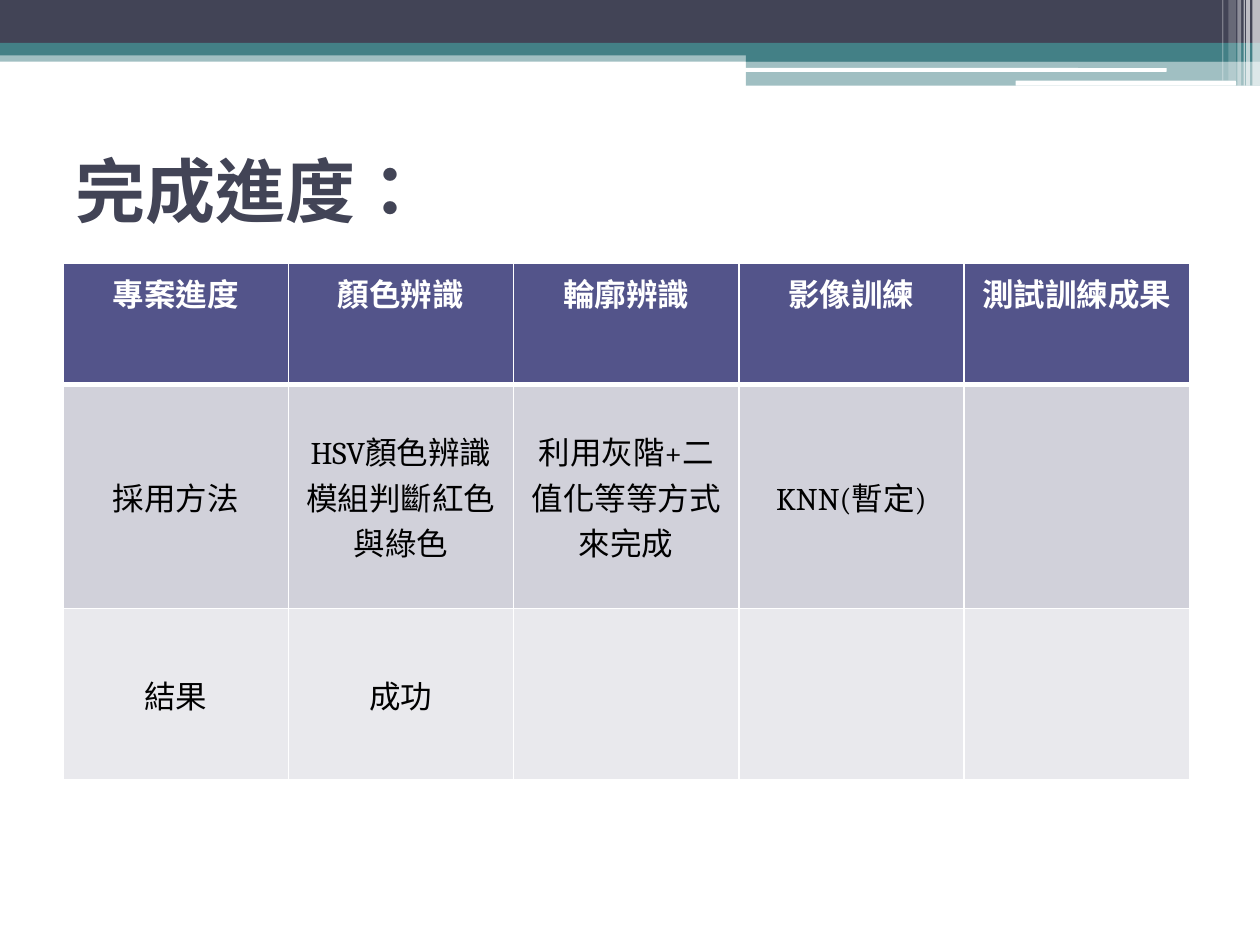
from lxml import etree
from pptx import Presentation
from pptx import util as u
from pptx.dml.color import RGBColor
from pptx.enum import lang, shapes, text
from pptx.oxml import ns

COLORS = {
    "navy": "424456", "teal": "438086", "white": "FFFFFF", "black": "000000",
    "header": "53548A", "method": "D1D1DA", "result": "E9E9ED",
}
CJK_FONT = "Noto Sans CJK SC"
RECT = shapes.MSO_SHAPE.RECTANGLE
ROUND = shapes.MSO_SHAPE.ROUNDED_RECTANGLE

BANDS = [
    (RECT, (0, 0.4, 10, 0.09), "teal", 50),
    (RECT, (0, 0, 10, 0.34), "navy", 100),
    (RECT, (0, 0.34, 10, 0.1), "teal", 100),
    (RECT, (5.92, 0.39, 4.08, 0.1), "teal", 100),
    (RECT, (5.92, 0.48, 4.08, 0.2), "teal", 50),
    (ROUND, (5.91, 0.54, 3.35, 0.03), "white", 100),
    (ROUND, (8.06, 0.64, 1.75, 0.04), "white", 100),
]
STRIPES = [
    (9.94, 0.06, 0.68, 65), (9.89, 0.03, 0.68, 65), (9.87, 0.01, 0.68, 60),
    (9.82, 0.03, 0.68, 40), (9.75, 0.06, 0.64, 20), (9.7, 0.01, 0.64, 30),
]
ROWS = [
    ("header", 0.96, ["專案進度", "顏色辨識", "輪廓辨識", "影像訓練", "測試訓練成果"]),
    ("method", 1.78, ["採用方法", "HSV顏色辨識模組判斷紅色與綠色",
                      "利用灰階+二值化等等方式來完成", "KNN(暫定)", ""]),
    ("result", 1.36, ["結果", "成功", "", "", ""]),
]


def color(name):
    """Return the named colour."""
    return RGBColor.from_string(COLORS[name])


def write(frame, words, size, font, ink, bold=False, align=None, anchor=None):
    """Write one formatted paragraph into a text frame."""
    para = frame.paragraphs[0]
    para.alignment = align
    if anchor is not None:
        frame.vertical_anchor = anchor
    span = para.add_run()
    span.text = words
    span.font.size, span.font.bold, span.font.name = u.Pt(size), bold, font
    span.font.color.rgb = color(ink)
    span.font.language_id = lang.MSO_LANGUAGE_ID.TRADITIONAL_CHINESE
    latin = span.font._element.find(ns.qn("a:latin"))
    latin.addnext(etree.Element(ns.qn("a:ea"), typeface=CJK_FONT))


def add_bar(page, kind, box, fill, opacity):
    """Draw a borderless bar with the given opacity in percent."""
    bar = page.shapes.add_shape(kind, *map(u.Inches, box))
    bar.shadow.inherit = False
    bar.line.fill.background()
    bar.fill.solid()
    bar.fill.fore_color.rgb = color(fill)
    if opacity < 100:
        tint = bar.fill._xPr.find(".//" + ns.qn("a:srgbClr"))
        etree.SubElement(tint, ns.qn("a:alpha"), val=str(opacity * 1000))


def add_banner(page):
    """Draw the bands across the top and the stripes at their right end."""
    for band in BANDS:
        add_bar(page, *band)
    for left, width, height, opacity in STRIPES:
        add_bar(page, RECT, (left, 0, width, height), "white", opacity)


def add_title(page, box, words):
    """Place and fill the title placeholder."""
    title = page.shapes.title
    title.left, title.top, title.width, title.height = map(u.Inches, box)
    title.text_frame.word_wrap = True
    write(title.text_frame, words, 40, CJK_FONT, "navy", bold=True,
          align=text.PP_ALIGN.LEFT, anchor=text.MSO_ANCHOR.MIDDLE)


def set_borders(cell, widths):
    """Give a cell white borders with widths in points, keyed by side."""
    props = cell._tc.get_or_add_tcPr()
    for index, (side, width) in enumerate(widths.items()):
        line = etree.Element(ns.qn("a:ln" + side), w=str(u.Pt(width)))
        fill = etree.SubElement(line, ns.qn("a:solidFill"))
        etree.SubElement(fill, ns.qn("a:srgbClr"), val=COLORS["white"])
        props.insert(index, line)


def add_progress_table(page, box):
    """Build the progress table with equal columns in the box."""
    count = len(ROWS[0][2])
    table = page.shapes.add_table(len(ROWS), count, *map(u.Inches, box)).table
    for column in table.columns:
        column.width = u.Inches(box[2] / count)
    for r, (fill, height, words) in enumerate(ROWS):
        table.rows[r].height = u.Inches(height)
        head = r == 0
        for c, label in enumerate(words):
            cell = table.cell(r, c)
            cell.fill.solid()
            cell.fill.fore_color.rgb = color(fill)
            set_borders(cell, {"L": 1, "R": 1, "T": 3 if r == 1 else 1, "B": 3 if head else 1})
            if not head:
                cell.vertical_anchor = text.MSO_ANCHOR.MIDDLE
            if label:
                write(cell.text_frame, label, 18, "Cambria", "white" if head else "black",
                      bold=head, align=text.PP_ALIGN.CENTER)


def main():
    """Build and save the deck."""
    deck = Presentation()
    deck.slide_width, deck.slide_height = u.Inches(10), u.Inches(7.5)
    page = deck.slides.add_slide(deck.slide_layouts[5])
    add_banner(page)
    add_title(page, (0.5, 0.92, 9, 1.17), "完成進度：")
    add_progress_table(page, (0.5, 2.09, 8.94, 4.1))
    deck.save("out.pptx")


if __name__ == "__main__":
    main()
